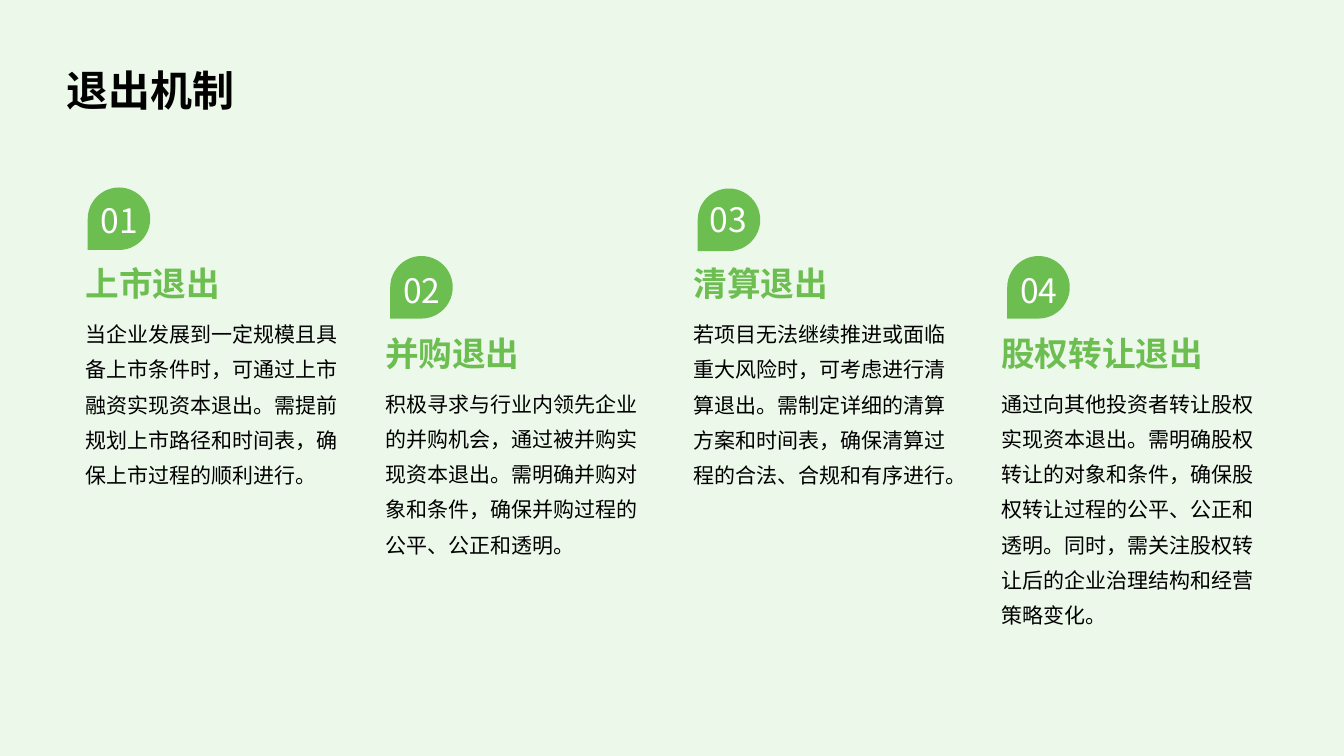
from pptx import Presentation
from pptx.dml.color import RGBColor
from pptx.enum.shapes import MSO_SHAPE
from pptx.enum.text import MSO_ANCHOR, MSO_AUTO_SIZE, PP_ALIGN
from pptx.oxml.ns import qn
from pptx.util import Inches, Pt
from lxml import etree

FONT = "Noto Sans CJK SC"
COLORS = {"page": "ECF8EA", "green": "6CBE50", "ink": "000000", "white": "FFFFFF"}
PAD = (0.14, 0.14, 0.06, 0.14)
SLIM = (0.1, 0.05, 0.1, 0.05)
HIGH, LOW = 2.39, 3.08
EXITS = [
    (0.71, HIGH, 2.8, (0.87, 1.86), (0.72, 1.88), "上市退出",
     "当企业发展到一定规模且具备上市条件时，可通过上市融资实现资本退出。"
     "需提前规划上市路径和时间表，确保上市过程的顺利进行。"),
    (3.68, LOW, 2.8, (3.87, 2.54), (3.72, 2.57), "并购退出",
     "积极寻求与行业内领先企业的并购机会，通过被并购实现资本退出。"
     "需明确并购对象和条件，确保并购过程的公平、公正和透明。"),
    (6.74, HIGH, 2.85, (6.92, 1.87), (6.76, 1.87), "清算退出",
     "若项目无法继续推进或面临重大风险时，可考虑进行清算退出。"
     "需制定详细的清算方案和时间表，确保清算过程的合法、合规和有序进行。"),
    (9.79, LOW, 2.9, (9.99, 2.54), (9.84, 2.57), "股权转让退出",
     "通过向其他投资者转让股权实现资本退出。"
     "需明确股权转让的对象和条件，确保股权转让过程的公平、公正和透明。"
     "同时，需关注股权转让后的企业治理结构和经营策略变化。"),
]


def paint(fill, name):
    fill.solid()
    fill.fore_color.rgb = RGBColor.from_string(COLORS[name])


def write(shape, text, size, color, bold=False, lead=1.0,
          anchor=MSO_ANCHOR.TOP, align=PP_ALIGN.LEFT, pad=PAD, before=0):
    frame = shape.text_frame
    frame.text = text
    frame.word_wrap = True
    frame.auto_size = MSO_AUTO_SIZE.NONE
    frame.vertical_anchor = anchor
    (frame.margin_left, frame.margin_top,
     frame.margin_right, frame.margin_bottom) = map(Inches, pad)
    para = frame.paragraphs[0]
    para.alignment = align
    para.line_spacing = lead
    para.space_before = Pt(before)
    run = para.runs[0]
    run.font.name = FONT
    run.font.size = Pt(size)
    run.font.bold = bold
    run.font.color.rgb = RGBColor.from_string(COLORS[color])
    east = etree.SubElement(run.font._element, qn("a:ea"))
    east.set("typeface", FONT)


def add_text(slide, box, text, size, color, **style):
    shape = slide.shapes.add_textbox(*map(Inches, box))
    write(shape, text, size, color, **style)


def add_drop(slide, left, top):
    drop = slide.shapes.add_shape(
        MSO_SHAPE.TEAR, *map(Inches, (left, top, 0.62, 0.62)))
    drop.rotation = 180
    drop.shadow.inherit = False
    paint(drop.fill, "green")
    drop.line.fill.background()


def add_title(slide, text):
    title = slide.shapes.title
    title.left, title.top, title.width, title.height = map(
        Inches, (0.52, 0.29, 12.29, 1))
    write(title, text, 30, "ink", bold=True, lead=1.4, anchor=MSO_ANCHOR.MIDDLE)


def add_exit(slide, index, left, top, width, drop, label, head, body):
    add_text(slide, (left, top, width, 0.76), head, 24, "green",
             bold=True, lead=1.2, anchor=MSO_ANCHOR.BOTTOM)
    add_text(slide, (left, top + 0.56, width, 2.73), body, 15, "ink", lead=1.4)
    add_drop(slide, *drop)
    add_text(slide, (*label, 0.93, 0.61), f"{index:02}", 24, "white",
             anchor=MSO_ANCHOR.MIDDLE, align=PP_ALIGN.CENTER, pad=SLIM, before=3.8)


def main():
    deck = Presentation()
    deck.slide_width, deck.slide_height = Inches(13.33), Inches(7.5)
    slide = deck.slides.add_slide(deck.slide_layouts[5])
    paint(slide.background.fill, "page")
    add_title(slide, "退出机制")
    for index, item in enumerate(EXITS, 1):
        add_exit(slide, index, *item)
    deck.save("out.pptx")


if __name__ == "__main__":
    main()
